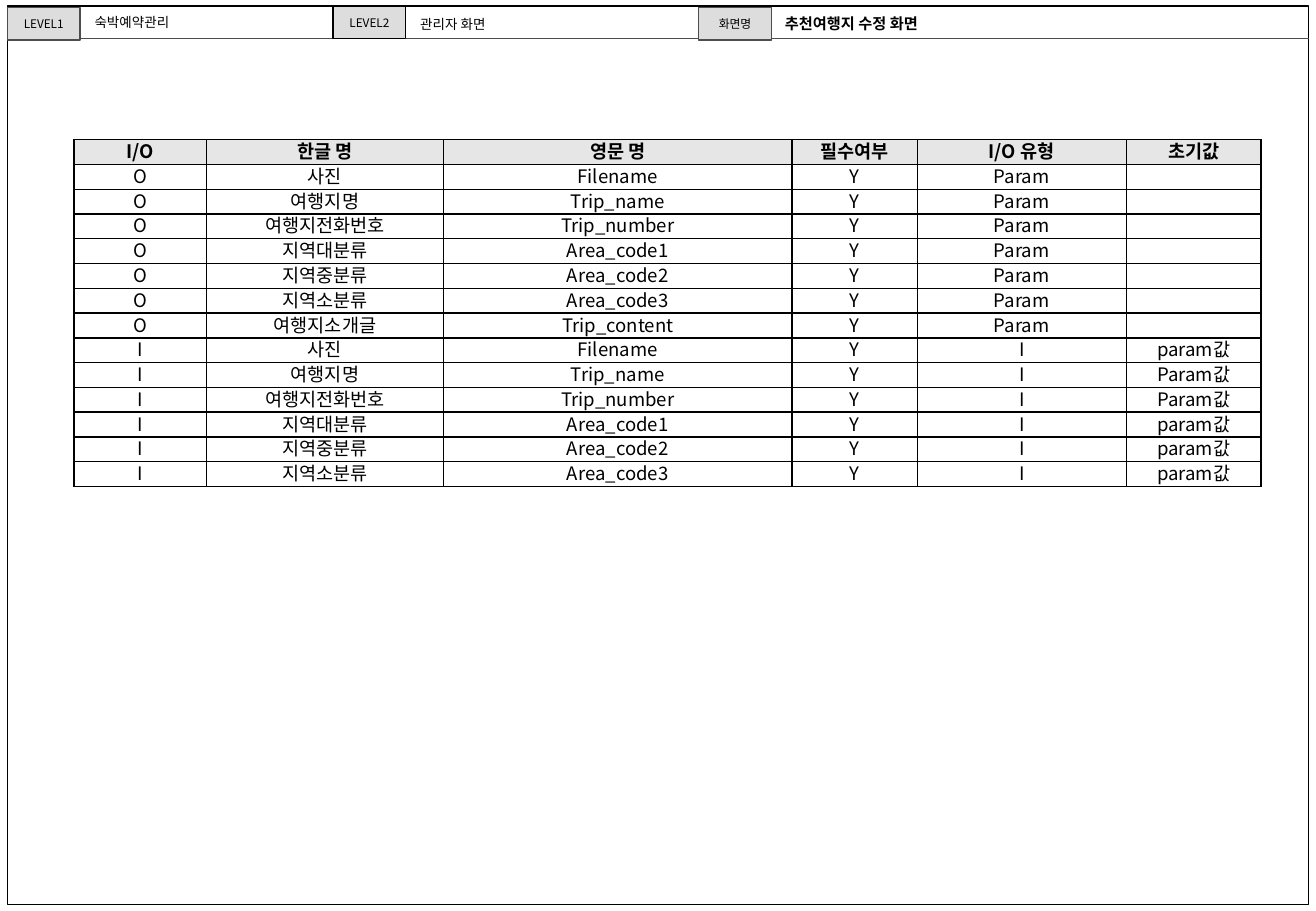
import pptx
import pptx.dml.color
import pptx.enum.shapes
import pptx.enum.text
import pptx.oxml.ns
import pptx.util
from lxml import etree

BLACK = pptx.dml.color.RGBColor(0x00, 0x00, 0x00)
DARK_GRAY = pptx.dml.color.RGBColor(0x4D, 0x4D, 0x4D)
TAG_GRAY = pptx.dml.color.RGBColor(0xDD, 0xDD, 0xDD)
HEADER_GRAY = pptx.dml.color.RGBColor(0xE6, 0xE6, 0xE6)
KOREAN_FONT = "Noto Sans CJK KR"
LATIN_FONT = "Arial"
CENTER = pptx.enum.text.PP_ALIGN.CENTER
LEFT = pptx.enum.text.PP_ALIGN.LEFT
MIDDLE = pptx.enum.text.MSO_ANCHOR.MIDDLE
TOP = pptx.enum.text.MSO_ANCHOR.TOP

GRID_COLUMNS, GRID_ROWS = 1083, 750
SLIDE_WIDTH, SLIDE_HEIGHT = pptx.util.Inches(10.83), pptx.util.Inches(7.5)

COLUMN_WIDTHS = [109, 195, 287, 103, 172, 111]
ROW_HEIGHT = 20.43
HEADINGS = ["I/O", "한글 명", "영문 명", "필수여부", "I/O 유형", "초기값"]
FIELDS = [
    ("사진", "Filename"),
    ("여행지명", "Trip_name"),
    ("여행지전화번호", "Trip_number"),
    ("지역대분류", "Area_code1"),
    ("지역중분류", "Area_code2"),
    ("지역소분류", "Area_code3"),
]
CONTENT_FIELD = ("여행지소개글", "Trip_content")
INITIAL_VALUES = ["param값", "Param값", "Param값", "param값", "param값", "param값"]


def add_xml(parent, tag, **attributes):
    return etree.SubElement(parent, pptx.oxml.ns.qn(tag), attributes)


class ScreenPage:
    """Draws on one slide; lengths are columns and rows of a fine grid."""

    def __init__(self, deck):
        self.slide = deck.slides.add_slide(deck.slide_layouts[5])

    def across(self, columns):
        return round(SLIDE_WIDTH * columns / GRID_COLUMNS)

    def down(self, rows):
        return round(SLIDE_HEIGHT * rows / GRID_ROWS)

    def area(self, left, top, width, height):
        return self.across(left), self.down(top), self.across(width), self.down(height)

    def set_text(self, frame, text, size, font=KOREAN_FONT, bold=False, align=LEFT):
        frame.text = text
        para = frame.paragraphs[0]
        para.alignment = align
        para.font.size = pptx.util.Pt(size)
        para.font.name = font
        para.font.bold = bold
        para.font.color.rgb = BLACK
        add_xml(para.font._element, "a:ea", typeface=KOREAN_FONT)
        return para

    def box(self, place, line_color, fill=None):
        shape = self.slide.shapes.add_shape(
            pptx.enum.shapes.MSO_SHAPE.RECTANGLE, *self.area(*place))
        shape.shadow.inherit = False
        shape.line.color.rgb = line_color
        shape.line.width = pptx.util.Pt(0.75)
        if fill is None:
            shape.fill.background()
        else:
            shape.fill.solid()
            shape.fill.fore_color.rgb = fill
        return shape

    def tag(self, place, text, line_color):
        frame = self.box(place, line_color, TAG_GRAY).text_frame
        frame.vertical_anchor = MIDDLE
        self.set_text(frame, text, 7, align=CENTER)

    def rule(self, left, right, row):
        line = self.slide.shapes.add_connector(
            pptx.enum.shapes.MSO_CONNECTOR.STRAIGHT,
            self.across(left), self.down(row), self.across(right), self.down(row))
        line.line.color.rgb = DARK_GRAY
        line.line.width = pptx.util.Pt(0.75)
        add_xml(line._element.spPr, "a:effectLst")

    def label(self, place, text):
        frame = self.slide.shapes.add_textbox(*self.area(*place)).text_frame
        frame.word_wrap = True
        self.set_text(frame, text, 8, LATIN_FONT)

    def title(self, place, text):
        title = self.slide.shapes.title
        title.left, title.top, title.width, title.height = self.area(*place)
        frame = title.text_frame
        frame.word_wrap = True
        frame.auto_size = pptx.enum.text.MSO_AUTO_SIZE.NONE
        frame.vertical_anchor = TOP
        self.set_text(frame, text, 9, bold=True)

    def border(self, cell):
        properties = cell._tc.get_or_add_tcPr()
        for side in ("a:lnL", "a:lnR", "a:lnT", "a:lnB"):
            line = add_xml(properties, side, w=str(pptx.util.Pt(1)))
            fill = add_xml(line, "a:solidFill")
            add_xml(fill, "a:srgbClr", val=str(BLACK))

    def fill_cell(self, cell, text, heading):
        self.border(cell)
        cell.vertical_anchor = MIDDLE
        cell.margin_left = cell.margin_right = self.across(1)
        cell.margin_top = cell.margin_bottom = 0
        if heading:
            cell.fill.solid()
            cell.fill.fore_color.rgb = HEADER_GRAY
        else:
            cell.fill.background()
        para = self.set_text(cell.text_frame, text, 11, bold=heading, align=CENTER)
        para.line_spacing = pptx.util.Pt(14)
        if not text:
            add_xml(para._p, "a:endParaRPr", sz="1100")

    def table(self, left, top, records):
        place = (left, top, sum(COLUMN_WIDTHS), ROW_HEIGHT * len(records))
        table = self.slide.shapes.add_table(
            len(records), len(COLUMN_WIDTHS), *self.area(*place)).table
        table.first_row = table.horz_banding = False
        for column, width in zip(table.columns, COLUMN_WIDTHS):
            column.width = self.across(width)
        for index, (row, record) in enumerate(zip(table.rows, records)):
            row.height = self.down(ROW_HEIGHT)
            for cell, text in zip(row.cells, record):
                self.fill_cell(cell, text, heading=index == 0)


def main():
    deck = pptx.Presentation()
    deck.slide_width, deck.slide_height = SLIDE_WIDTH, SLIDE_HEIGHT
    screen = ScreenPage(deck)

    screen.box((6, 5, 1071, 740), BLACK)
    screen.rule(7, 1077, 32)
    screen.tag((6, 6, 60, 27), "LEVEL1", DARK_GRAY)
    screen.tag((575, 6, 60, 27), "화면명", DARK_GRAY)
    screen.tag((274, 5, 60, 27), "LEVEL2", BLACK)
    screen.label((68, 7, 199, 24), "숙박예약관리")
    screen.label((336, 8, 199, 24), "관리자 화면")
    screen.title((636, 7, 182, 25), "추천여행지 수정 화면")

    outputs = [("O", *field, "Y", "Param", "") for field in FIELDS + [CONTENT_FIELD]]
    inputs = [("I", *field, "Y", "I", value)
              for field, value in zip(FIELDS, INITIAL_VALUES)]
    screen.table(61, 115, [HEADINGS] + outputs + inputs)
    deck.save("out.pptx")


if __name__ == "__main__":
    main()
